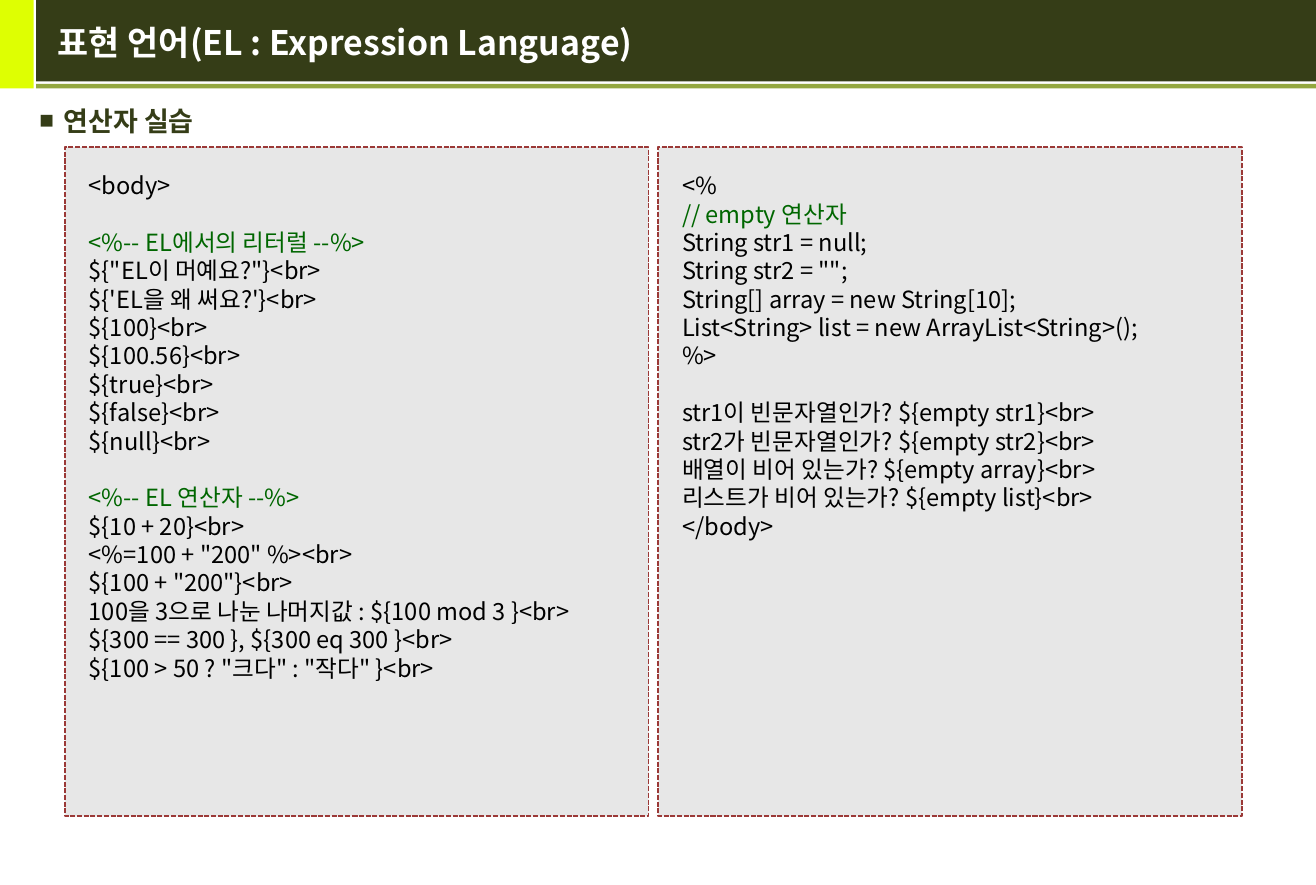
from lxml import etree
from pptx import Presentation
from pptx.dml.color import RGBColor
from pptx.enum import dml, shapes, text
from pptx.oxml import ns
from pptx.util import Pt

LIME = RGBColor(0xDE, 0xFF, 0x02)
DARK = RGBColor(0x35, 0x3D, 0x17)
OLIVE = RGBColor(0x93, 0xA7, 0x3F)
GRAY = RGBColor(0x80, 0x80, 0x80)
RED = RGBColor(0x9B, 0x39, 0x37)
GREEN = RGBColor(0x00, 0x66, 0x00)
BLACK = RGBColor(0x00, 0x00, 0x00)
WHITE = RGBColor(0xFF, 0xFF, 0xFF)
SANS = "Noto Sans CJK KR"
PITCH = 16.8

LEFT = """<body>

<%-- EL에서의 리터럴 --%>
${"EL이 머예요?"}<br>
${'EL을 왜 써요?'}<br>
${100}<br>
${100.56}<br>
${true}<br>
${false}<br>
${null}<br>

<%-- EL 연산자 --%>
${10 + 20}<br>
<%=100 + "200" %><br>
${100 + "200"}<br>
100을 3으로 나눈 나머지값 : ${100 mod 3 }<br>
${300 == 300 }, ${300 eq 300 }<br>
${100 > 50 ? "크다" : "작다" }<br>"""

RIGHT = """<%
// empty 연산자
String str1 = null;
String str2 = "";
String[] array = new String[10];
List<String> list = new ArrayList<String>();
%>

str1이 빈문자열인가? ${empty str1}<br>
str2가 빈문자열인가? ${empty str2}<br>
배열이 비어 있는가? ${empty array}<br>
리스트가 비어 있는가? ${empty list}<br>
</body>"""


def add(node, tag, **attrs):
    return etree.SubElement(node, ns.qn(tag), attrs)


def style(para, size, color, name=SANS, bold=False):
    font = para.font
    font.size = Pt(size)
    font.bold = bold
    font.name = name
    font.color.rgb = color
    add(font._rPr, "a:ea", typeface=SANS)


def rect(slide, box, color):
    shape = slide.shapes.add_shape(shapes.MSO_SHAPE.RECTANGLE, *map(Pt, box))
    shape.shadow.inherit = False
    shape.fill.solid()
    shape.fill.fore_color.rgb = color
    shape.line.fill.background()
    return shape


def label(slide, box, words):
    frame = slide.shapes.add_textbox(*map(Pt, box)).text_frame
    frame.word_wrap = True
    para = frame.paragraphs[0]
    para.text = words
    return frame, para


def title(slide, words):
    frame, para = label(slide, (27.2, 0, 743, 50), words)
    frame.vertical_anchor = text.MSO_ANCHOR.MIDDLE
    style(para, 20, WHITE, bold=True)


def topic(slide, words):
    para = label(slide, (16.2, 58.3, 754, 447.8), words)[1]
    para.line_spacing = Pt(19.2)
    props = para._p.get_or_add_pPr()
    props.set("marL", str(Pt(14.4)))
    props.set("indent", str(-Pt(14.4)))
    add(add(props, "a:buClr"), "a:srgbClr", val=str(DARK))
    add(props, "a:buSzPct", val="90000")
    add(props, "a:buFont", typeface="Arial")
    add(props, "a:buChar", char="■")
    style(para, 16, DARK, "Arial", True)


def panel(slide, left, code):
    shape = rect(slide, (left, 87.1, 345.9, 396.4), GRAY)
    tint = shape._element.spPr.find(ns.qn("a:solidFill"))[0]
    add(tint, "a:alpha", val="19000")
    shape.line.color.rgb = RED
    shape.line.width = Pt(1)
    shape.line.dash_style = dml.MSO_LINE.SQUARE_DOT
    frame = shape.text_frame
    frame.word_wrap = True
    frame.vertical_anchor = text.MSO_ANCHOR.TOP
    frame.margin_left = frame.margin_right = Pt(14.2)
    frame.margin_top = frame.margin_bottom = Pt(14.2)
    para, gap = frame.paragraphs[0], 0
    for line in code.splitlines():
        if not line:
            gap = PITCH
            continue
        if para.text:
            para = frame.add_paragraph()
        para.text = line
        para.alignment = text.PP_ALIGN.LEFT
        para.line_spacing = Pt(PITCH)
        para.space_before = Pt(gap)
        note = line.startswith(("<%--", "//"))
        style(para, 14, GREEN if note else BLACK)
        gap = 0


def main():
    deck = Presentation()
    deck.slide_width, deck.slide_height = Pt(779.76), Pt(524.16)
    slide = deck.slides.add_slide(deck.slide_layouts[6])
    rect(slide, (0, 0, 20, 52.4), LIME)
    rect(slide, (21.5, 0, 758.5, 48.2), DARK)
    rect(slide, (21.5, 49.7, 758.5, 2.7), OLIVE)
    topic(slide, "연산자 실습")
    title(slide, "표현 언어(EL : Expression Language)")
    for left, code in ((38.4, LEFT), (389.9, RIGHT)):
        panel(slide, left, code)
    deck.save("out.pptx")


if __name__ == "__main__":
    main()
